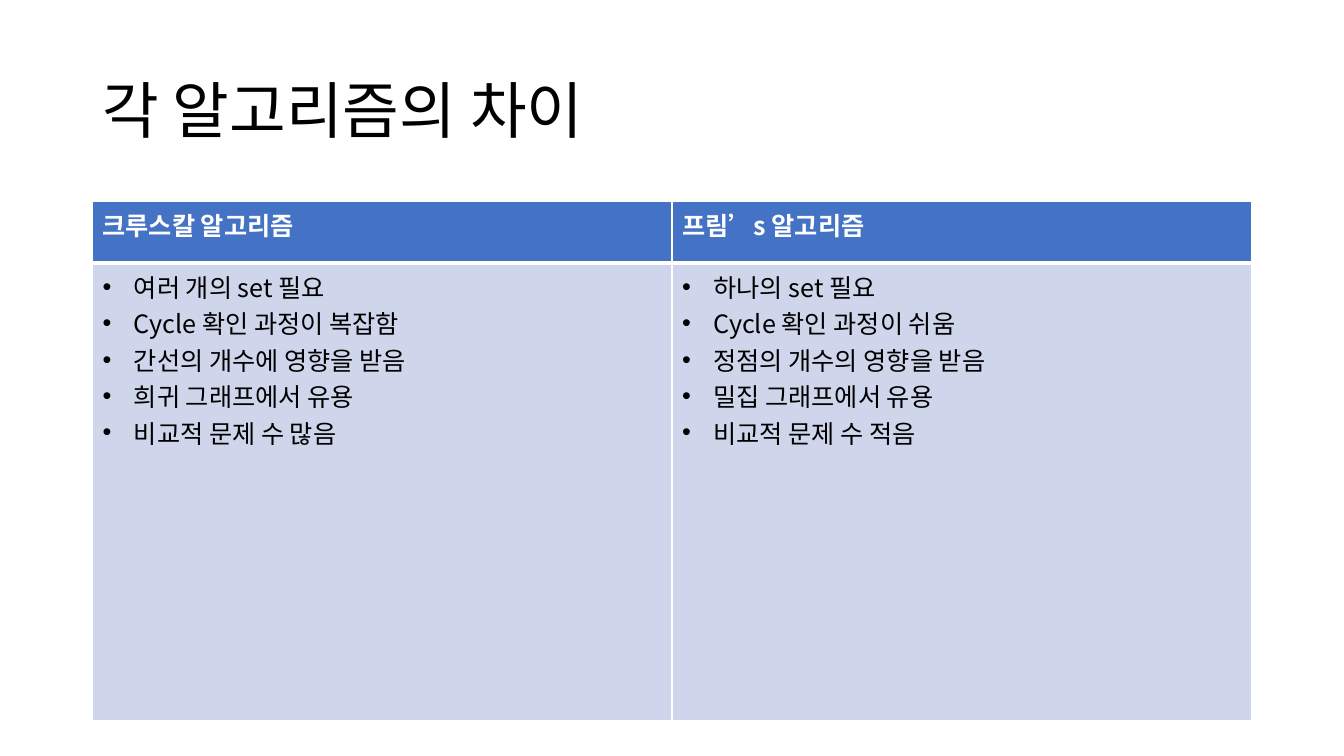
from lxml.etree import SubElement
from pptx import Presentation
from pptx.dml.color import RGBColor
from pptx.enum.text import MSO_ANCHOR, PP_ALIGN
from pptx.oxml.ns import qn
from pptx.util import Cm, Pt

FONT = "Noto Sans CJK KR"
BLACK = RGBColor(0x00, 0x00, 0x00)
WHITE = RGBColor(0xFF, 0xFF, 0xFF)
HEADER_BLUE = RGBColor(0x44, 0x72, 0xC4)
BODY_BLUE = RGBColor(0xCF, 0xD5, 0xEA)

LEFT, WIDTH = Cm(2.33), Cm(29.21)
HEADER_HEIGHT, BODY_HEIGHT = Cm(1.56), Cm(11.54)
BULLET_INDENT = Cm(0.79)

ALGORITHMS = {
    "크루스칼 알고리즘": [
        "여러 개의 set 필요",
        "Cycle 확인 과정이 복잡함",
        "간선의 개수에 영향을 받음",
        "희귀 그래프에서 유용",
        "비교적 문제 수 많음",
    ],
    "프림’s 알고리즘": [
        "하나의 set 필요",
        "Cycle 확인 과정이 쉬움",
        "정점의 개수의 영향을 받음",
        "밀집 그래프에서 유용",
        "비교적 문제 수 적음",
    ],
}


def write_text(para, text, size=18, color=BLACK, bold=False, spacing=None):
    para.alignment = PP_ALIGN.LEFT
    if spacing:
        para.line_spacing = spacing
    span = para.add_run()
    span.text = text
    span.font.name = FONT
    span.font.size = Pt(size)
    span.font.bold = bold
    span.font.color.rgb = color
    SubElement(span.font._element, qn("a:ea"), typeface=FONT)


def add_bullet(para):
    properties = para._p.get_or_add_pPr()
    properties.set("marL", str(BULLET_INDENT))
    properties.set("indent", str(-BULLET_INDENT))
    SubElement(properties, qn("a:buFont"), typeface="Arial")
    SubElement(properties, qn("a:buChar"), char="•")


def set_borders(cell, top=1, bottom=1):
    properties = cell._tc.get_or_add_tcPr()
    widths = {"lnL": 1, "lnR": 1, "lnT": top, "lnB": bottom}
    for side, width in widths.items():
        line = SubElement(properties, qn(f"a:{side}"), w=str(Pt(width)))
        fill = SubElement(line, qn("a:solidFill"))
        SubElement(fill, qn("a:srgbClr"), val=str(WHITE))


def fill_cell(cell, color):
    cell.fill.solid()
    cell.fill.fore_color.rgb = color


def add_title(slide, text):
    title = slide.shapes.title
    title.left, title.top = LEFT, Cm(1.01)
    title.width, title.height = WIDTH, Cm(3.68)
    title.text_frame.vertical_anchor = MSO_ANCHOR.MIDDLE
    write_text(title.text_frame.paragraphs[0], text, size=44, spacing=0.9)


def add_comparison(slide, columns):
    frame = slide.shapes.add_table(
        2, len(columns), LEFT, Cm(5.07), WIDTH, HEADER_HEIGHT + BODY_HEIGHT
    )
    table = frame.table
    table.rows[0].height = HEADER_HEIGHT
    table.rows[1].height = BODY_HEIGHT
    for index, (heading, points) in enumerate(columns.items()):
        header, body = table.cell(0, index), table.cell(1, index)
        set_borders(header, bottom=3)
        fill_cell(header, HEADER_BLUE)
        write_text(header.text_frame.paragraphs[0], heading, color=WHITE, bold=True)
        set_borders(body, top=3)
        fill_cell(body, BODY_BLUE)
        for number, point in enumerate(points):
            box = body.text_frame
            para = box.add_paragraph() if number else box.paragraphs[0]
            write_text(para, point)
            add_bullet(para)


def main():
    deck = Presentation()
    deck.slide_width, deck.slide_height = Cm(33.87), Cm(19.05)
    slide = deck.slides.add_slide(deck.slide_layouts.get_by_name("Title Only"))
    add_title(slide, "각 알고리즘의 차이")
    add_comparison(slide, ALGORITHMS)
    deck.save("out.pptx")


main()
